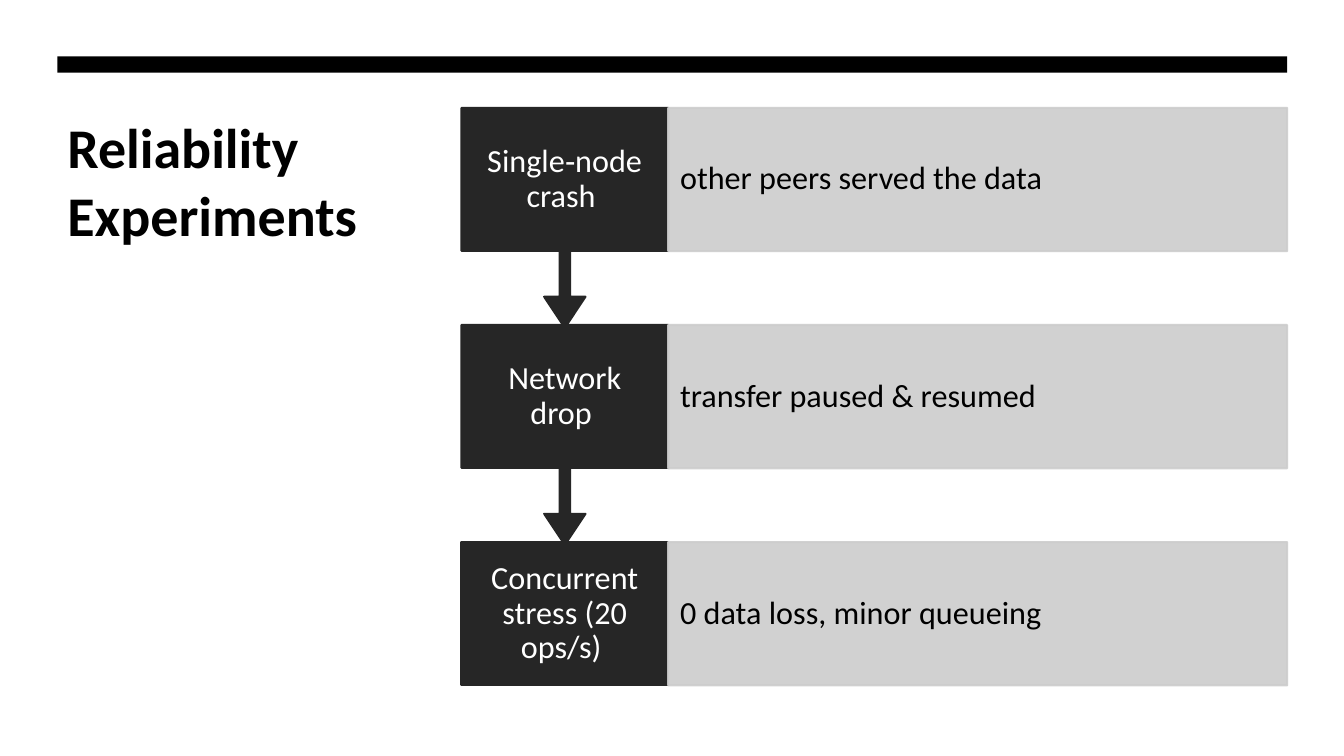
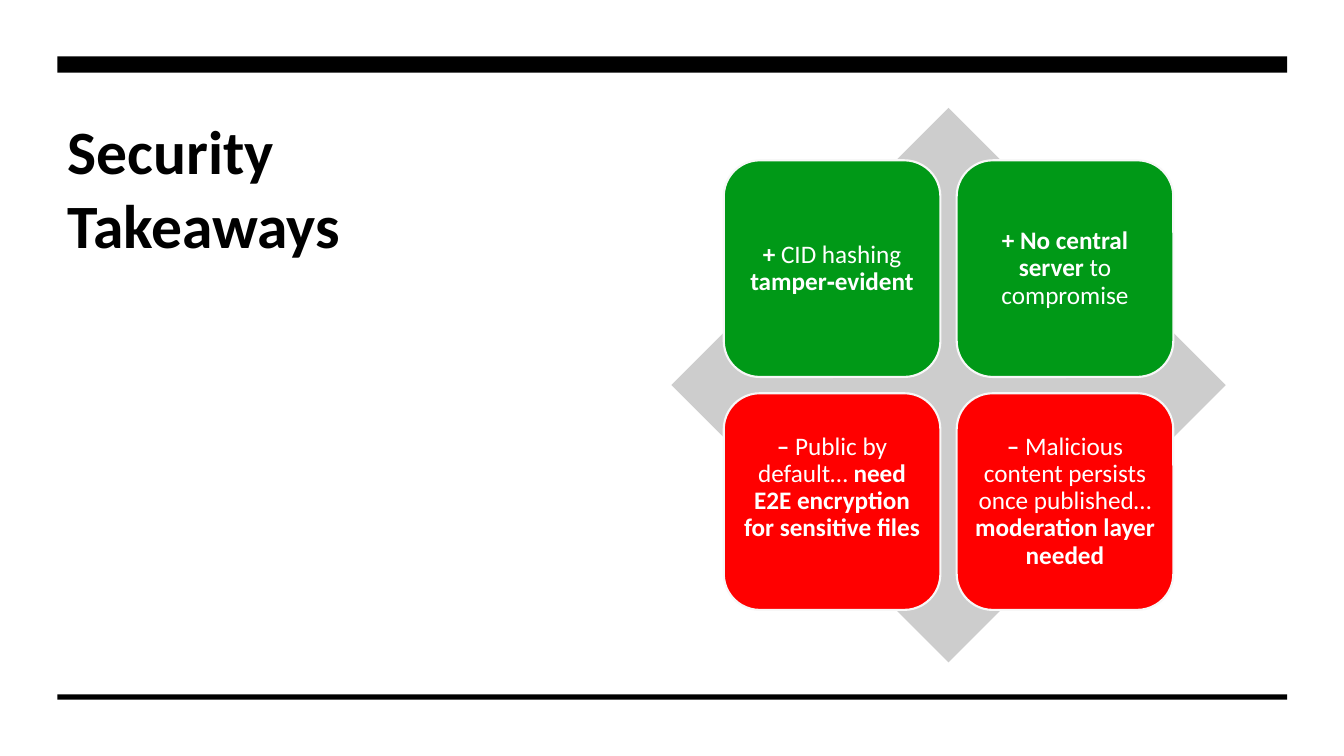
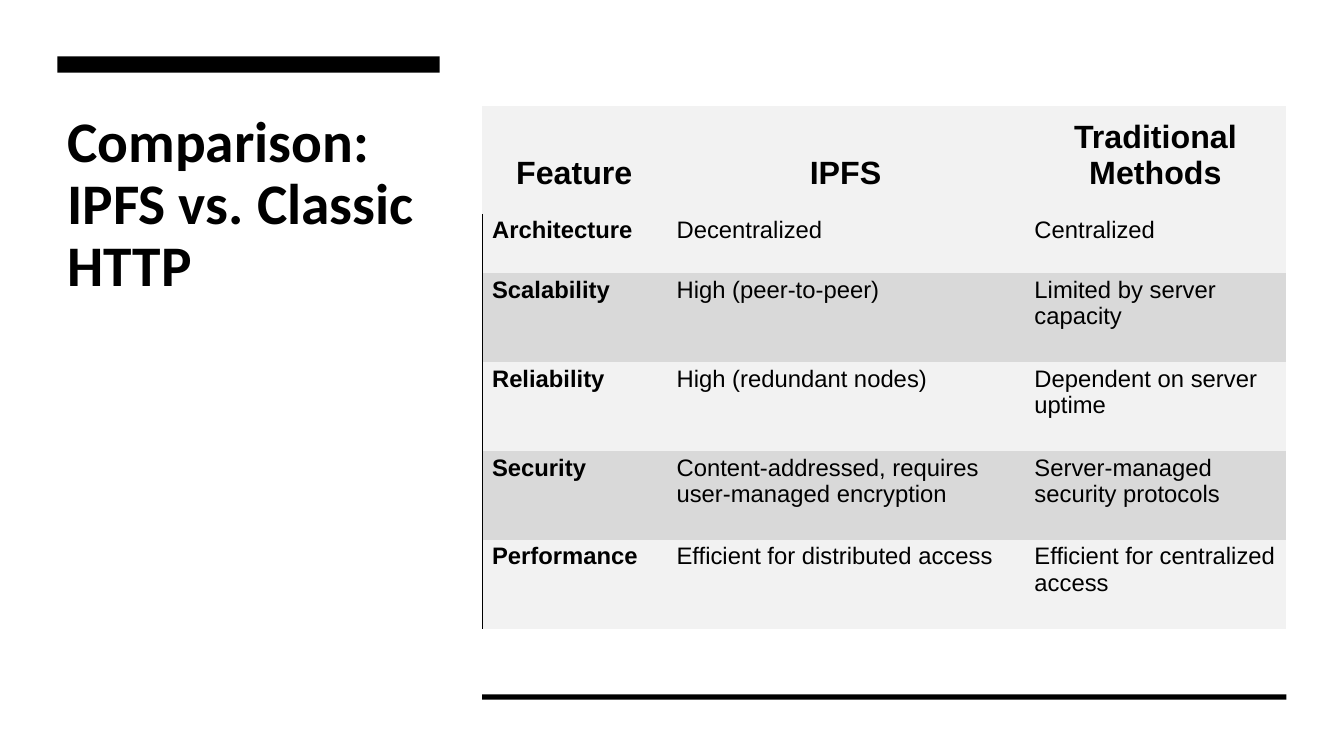
import pptx
import pptx.util
import pptx.dml.color
import pptx.enum.shapes
import pptx.enum.text
import pptx.oxml
import pptx.oxml.ns

Cm, Pt = pptx.util.Cm, pptx.util.Pt
KIND = pptx.enum.shapes.MSO_SHAPE
ALIGN = pptx.enum.text.PP_ALIGN
ANCHOR = pptx.enum.text.MSO_ANCHOR

# Content
STEPS = [
    ("Single‑node crash ", "other peers served the data"),
    ("Network drop ", "transfer paused & resumed"),
    ("Concurrent stress (20 ops/s) ", "0 data loss, minor queueing"),
]

# Fill, extra bottom inset, then runs as (text, bold)
CARDS = [
    ("good", 0, [("+", True), (" CID hashing ", False), ("tamper‑evident", True)]),
    ("good", 0, [("+ No central server ", True), ("to compromise", False)]),
    ("bad", 0.69, [("–", True), (" Public by default… ", False),
                   ("need E2E encryption for sensitive files", True)]),
    ("bad", 0, [("–", True), (" Malicious content persists once published… ", False),
                ("moderation layer needed", True)]),
]

ROWS = [
    ("Feature", "IPFS", "Traditional Methods"),
    ("Architecture", "Decentralized", "Centralized"),
    ("Scalability", "High (peer-to-peer)", "Limited by server capacity"),
    ("Reliability", "High (redundant nodes)", "Dependent on server uptime"),
    ("Security", "Content-addressed, requires user-managed encryption",
     "Server-managed security protocols"),
    ("Performance", "Efficient for distributed access",
     "Efficient for centralized access"),
]

# Shared look
HUES = {"black": "000000", "white": "FFFFFF", "dark": "262626", "grey": "CDCDCD",
        "good": "009917", "bad": "FF0000", "edge": "F7F7F7",
        "pale": "F2F2F2", "band": "D9D9D9"}
LEFT, TOP, WIDE = 1.45, 2.72, 30.99
NO_GRID = "{2D5ABB26-0587-4C30-8999-92F81FD0307C}"


def hue(name):
    return pptx.dml.color.RGBColor.from_string(HUES[name])


def xml(tag, inner="", **attrs):
    pairs = "".join(f' {key}="{val}"' for key, val in attrs.items())
    space = pptx.oxml.ns.nsdecls("a")
    return pptx.oxml.parse_xml(f"<a:{tag} {space}{pairs}>{inner}</a:{tag}>")


def write(para, runs, size, color, face="Calibri", align=ALIGN.LEFT, lead=1.0):
    para.alignment, para.line_spacing = align, lead
    for text, bold in runs:
        run = para.add_run()
        run.text = text
        font = run.font
        font.name, font.size, font.bold = face, Pt(size), bold
        font.color.rgb = hue(color)


def pad(frame, side, top, low=0):
    frame.word_wrap = True
    frame.vertical_anchor = ANCHOR.MIDDLE
    frame.margin_left = frame.margin_right = Cm(side)
    frame.margin_top, frame.margin_bottom = Cm(top), Cm(top + low)


def block(slide, kind, x, y, w, h, fill, line=None):
    shape = slide.shapes.add_shape(kind, Cm(x), Cm(y), Cm(w), Cm(h))
    shape.shadow.inherit = False
    shape.fill.solid()
    shape.fill.fore_color.rgb = hue(fill)
    if line:
        shape.line.color.rgb = hue(line)
        shape.line.width = Pt(1.5)
    else:
        shape.line.fill.background()
    return shape


def fade(shape, share):
    for color in shape._element.spPr.iter(pptx.oxml.ns.qn("a:srgbClr")):
        color.append(xml("alpha", val=share * 1000))


def start(deck, title, size, w, h, bar=WIDE, foot=None, lead=1.0):
    """Add a slide with its title, top bar and optional (left, width) foot rule."""
    slide = deck.slides.add_slide(deck.slide_layouts[6])
    box = slide.shapes.add_textbox(Cm(LEFT), Cm(TOP), Cm(w), Cm(h))
    box.text_frame.word_wrap = True
    write(box.text_frame.paragraphs[0], [(title, True)], size, "black", lead=lead)
    block(slide, KIND.RECTANGLE, LEFT, 1.42, bar, 0.41, "black")
    if foot:
        block(slide, KIND.RECTANGLE, foot[0], 17.5, foot[1], 0.13, "black")
    return slide


def flow(deck):
    slide = start(deck, "Reliability Experiments", 40, 8.76, 11.3)
    x, key, val, high, pitch, drop = 11.63, 5.21, 15.6, 3.61, 5.47, 5.54
    last = len(STEPS) - 1
    # Bottom step first, so each arrow tip lies over the step below
    for i, (name, note) in reversed(list(enumerate(STEPS))):
        y = TOP + i * pitch
        if i == last:
            head = block(slide, KIND.RECTANGLE, x, y, key, high, "dark", "dark")
        else:
            head = block(slide, KIND.DOWN_ARROW_CALLOUT, x, y, key, drop, "dark", "dark")
            for n, part in enumerate((0.05, 0.1, 0.15, 0.65)):
                head.adjustments[n] = part
        pad(head.text_frame, 0.38, 0.46)
        write(head.text_frame.paragraphs[0], [(name, False)], 23, "white",
              align=ALIGN.CENTER, lead=0.9)
        body = block(slide, KIND.RECTANGLE, x + key, y, val, high, "grey", "grey")
        fade(body, 90)
        pad(body.text_frame, 0.3, 0.81)
        write(body.text_frame.paragraphs[0], [(note, False)], 23, "black", lead=0.9)


def matrix(deck):
    slide = start(deck, "Security Takeaways", 44, 11.91, 9.35, foot=(LEFT, WIDE))
    x, span, side, pitch = 16.92, 13.97, 5.46, 5.87
    block(slide, KIND.DIAMOND, x, TOP, span, span, "grey")
    inset = (span - side - pitch) / 2
    for i, (fill, low, runs) in enumerate(CARDS):
        row, col = divmod(i, 2)
        card = block(slide, KIND.ROUNDED_RECTANGLE, x + inset + col * pitch,
                     TOP + inset + row * pitch, side, side, fill, "edge")
        pad(card.text_frame, 0.18, 0.18, low)
        write(card.text_frame.paragraphs[0], runs, 18, "white",
              align=ALIGN.CENTER, lead=0.9)


def compare(deck):
    x, cols, highs = 12.15, (4.65, 9.02, 6.6), (2.72, 1.5) + (2.24,) * 4
    slide = start(deck, "Comparison: IPFS vs. Classic HTTP", 41, 9.63, 8.18,
                  bar=9.63, foot=(x, sum(cols)), lead=0.9)
    table = slide.shapes.add_table(len(ROWS), len(cols), Cm(x), Cm(2.67),
                                   Cm(sum(cols)), Cm(sum(highs))).table
    table.first_row = table.horz_banding = False
    table._tbl.tblPr.find(pptx.oxml.ns.qn("a:tableStyleId")).text = NO_GRID
    for c, w in enumerate(cols):
        table.columns[c].width = Cm(w)
    for r, (texts, high) in enumerate(zip(ROWS, highs)):
        table.rows[r].height = Cm(high)
        top = r == 0
        for c, text in enumerate(texts):
            cell = table.cell(r, c)
            cell.margin_left = cell.margin_right = Cm(0.25)
            cell.margin_top, cell.margin_bottom = Cm(0.08), Cm(0.56)
            cell.vertical_anchor = ANCHOR.BOTTOM if top else ANCHOR.TOP
            cell.fill.solid()
            cell.fill.fore_color.rgb = hue("band" if r and r % 2 == 0 else "pale")
            write(cell.text_frame.paragraphs[0], [(text, top or c == 0)],
                  23 if top else 17, "black", "Arial",
                  ALIGN.CENTER if top else ALIGN.LEFT)
            if c == 0 and not top:
                ink = f'<a:solidFill><a:srgbClr val="{HUES["black"]}"/></a:solidFill>'
                cell._tc.get_or_add_tcPr().insert(0, xml("lnL", ink, w=Pt(1)))


def main():
    deck = pptx.Presentation()
    deck.slide_width, deck.slide_height = Cm(33.87), Cm(19.05)
    for build in (flow, matrix, compare):
        build(deck)
    deck.save("out.pptx")


if __name__ == "__main__":
    main()
